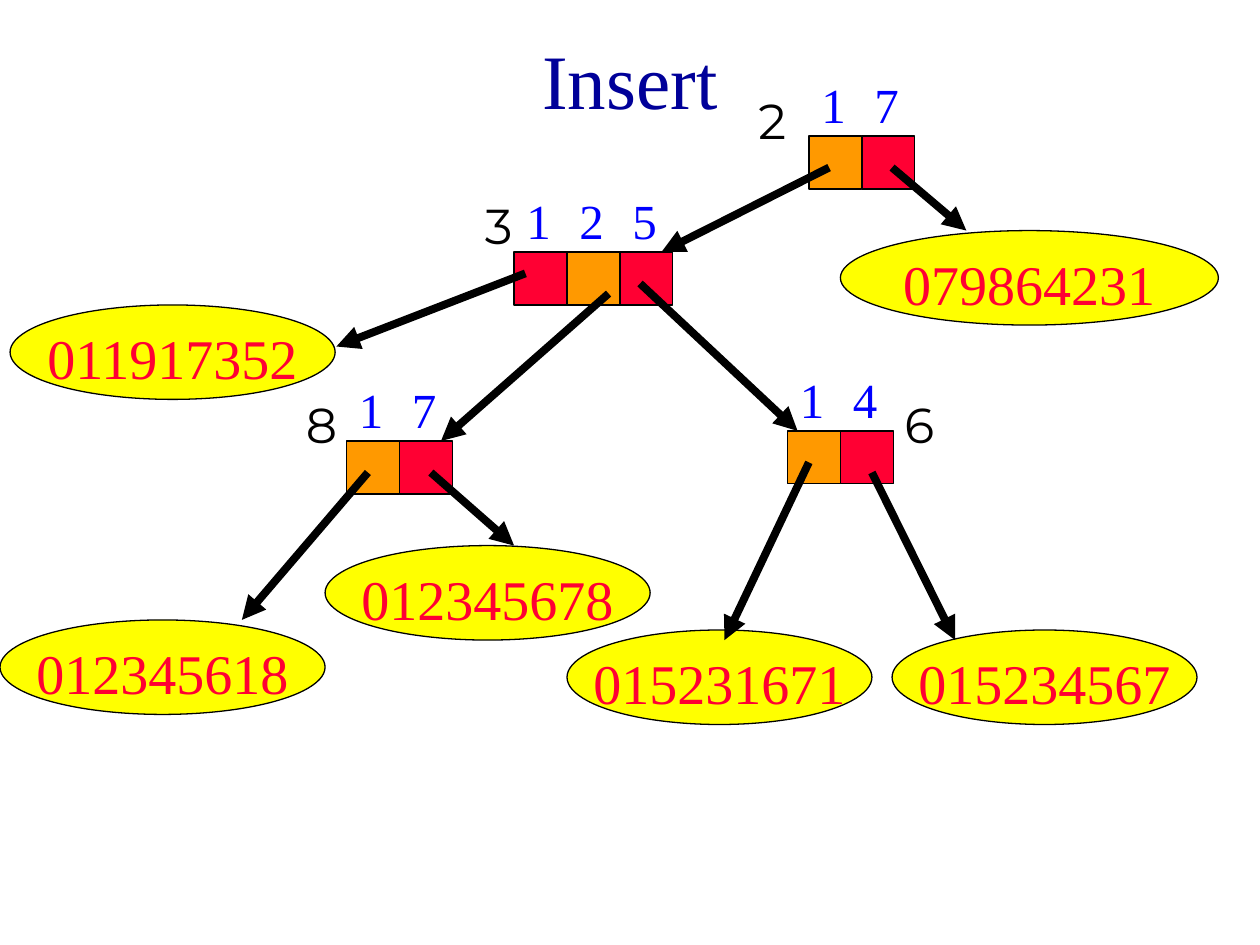
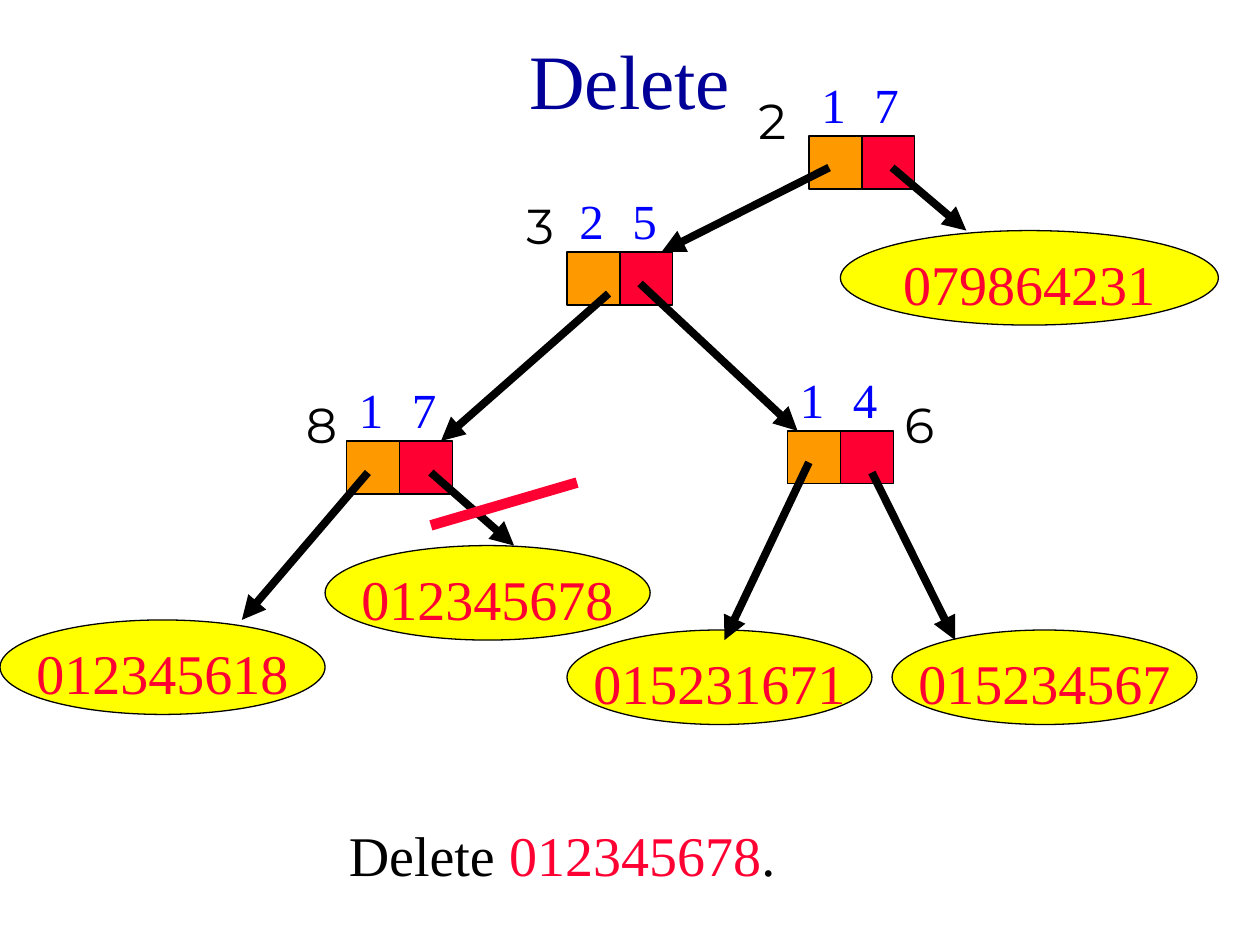
from pptx import Presentation
from pptx.dml.color import RGBColor
from pptx.enum.shapes import MSO_CONNECTOR, MSO_SHAPE
from pptx.enum.text import MSO_ANCHOR, PP_ALIGN
from pptx.oxml.ns import qn
from pptx.util import Inches, Pt
from lxml import etree

STRAIGHT = MSO_CONNECTOR.STRAIGHT
RECTANGLE, OVAL = MSO_SHAPE.RECTANGLE, MSO_SHAPE.OVAL
TOP, MIDDLE = MSO_ANCHOR.TOP, MSO_ANCHOR.MIDDLE
LEFT, CENTER = PP_ALIGN.LEFT, PP_ALIGN.CENTER

COLORS = {
    "title": "000099", "digit": "0000FF", "level": "010000", "black": "000000",
    "branch": "FF9900", "element": "FF0033", "leaf": "FFFF00",
}
SERIF, SANS = "Times New Roman", "Montserrat"
CELL = 0.42
DIGIT_RISE = 0.58
LEAF_HEIGHT = 0.75

SHARED_NODES = [
    {"level": "2", "level_at": (5.92, 0.67), "at": (6.42, 1.08),
     "cells": [("1", "branch"), ("7", "element")]},
    {"level": "8", "level_at": (2.33, 3.08), "at": (2.75, 3.5),
     "cells": [("1", "branch"), ("7", "element")]},
    {"level": "6", "level_at": (7.08, 3.08), "at": (6.25, 3.42),
     "cells": [("1", "branch"), ("4", "element")]},
]
SHARED_LEAVES = [
    ("079864231", 6.67, 1.83, 3),
    ("012345678", 2.58, 4.33, 2.58),
    ("012345618", 0, 4.92, 2.58),
    ("015231671", 4.5, 5, 2.42),
    ("015234567", 7.08, 5, 2.42),
]
SHARED_POINTERS = [
    ((6.58, 1.33), (5.25, 2)),
    ((7.08, 1.33), (7.67, 1.83)),
    ((4.83, 2.33), (3.5, 3.5)),
    ((5.08, 2.25), (6.33, 3.42)),
    ((2.92, 3.75), (1.92, 4.92)),
    ((3.42, 3.75), (4.08, 4.33)),
    ((6.42, 3.67), (5.75, 5.08)),
    ((6.92, 3.75), (7.58, 5.08)),
]
SLIDES = [
    {"title": "Insert",
     "nodes": [{"level": "3", "level_at": (3.75, 1.5), "at": (4.08, 2),
                "cells": [("1", "element"), ("2", "branch"), ("5", "element")]}],
     "leaves": [("011917352", 0.08, 2.42, 2.58)],
     "pointers": [((4.17, 2.17), (2.67, 2.75))]},
    {"title": "Delete",
     "nodes": [{"level": "3", "level_at": (4.08, 1.5), "at": (4.5, 2),
                "cells": [("2", "branch"), ("5", "element")]}],
     "leaves": [], "pointers": [],
     "cut": ((3.42, 4.17), (4.58, 3.83)),
     "caption": [("Delete ", "black"), ("012345678", "element"), (".", "black")]},
]


def color(key):
    return RGBColor.from_string(COLORS[key])


def write(shape, runs, size, font=SERIF, align=LEFT, anchor=TOP, wrap=True, inset=0.09):
    frame = shape.text_frame
    frame.word_wrap = wrap
    frame.vertical_anchor = anchor
    frame.margin_top = Inches(inset)
    paragraph = frame.paragraphs[0]
    paragraph.alignment = align
    paragraph.font.size = Pt(size)
    paragraph.font.name = font
    for text, key in runs:
        run = paragraph.add_run()
        run.text = text
        run.font.color.rgb = color(key)


def add_text(slide, box, runs, size, **style):
    write(slide.shapes.add_textbox(*map(Inches, box)), runs, size, **style)


def add_outlined(slide, kind, box, fill):
    shape = slide.shapes.add_shape(kind, *map(Inches, box))
    shape.shadow.inherit = False
    shape.fill.solid()
    shape.fill.fore_color.rgb = color(fill)
    shape.line.color.rgb = color("black")
    shape.line.width = Pt(0.75)
    return shape


def add_line(slide, start, end, key, width, arrow=False):
    line = slide.shapes.add_connector(STRAIGHT, *map(Inches, start + end))
    line.line.color.rgb = color(key)
    line.line.width = Pt(width)
    properties = line.element.spPr
    if arrow:
        etree.SubElement(properties.find(qn("a:ln")), qn("a:tailEnd"), type="triangle")
    etree.SubElement(properties, qn("a:effectLst"))


def add_node(slide, node):
    left, top = node["at"]
    for index, (digit, fill) in enumerate(node["cells"]):
        x = left + index * CELL
        add_outlined(slide, RECTANGLE, (x, top, CELL, CELL), fill)
        add_text(slide, (x, top - DIGIT_RISE, 0.35, 0.57), [(digit, "digit")], 28)
    add_text(slide, (*node["level_at"], 0.67, 0.57), [(node["level"], "level")], 28,
             font=SANS, inset=0.05)


def add_leaf(slide, key, left, top, width):
    leaf = add_outlined(slide, OVAL, (left, top, width, LEAF_HEIGHT), "leaf")
    write(leaf, [(key, "element")], 32, align=CENTER, anchor=MIDDLE, wrap=False, inset=0.13)


def build_slide(deck, content):
    slide = deck.slides.add_slide(deck.slide_layouts[6])
    add_text(slide, (0.75, 0.17, 8.5, 0.83), [(content["title"], "title")], 44,
             align=CENTER, anchor=MIDDLE, inset=0.13)
    for node in SHARED_NODES + content["nodes"]:
        add_node(slide, node)
    for leaf in SHARED_LEAVES + content["leaves"]:
        add_leaf(slide, *leaf)
    for start, end in SHARED_POINTERS + content["pointers"]:
        add_line(slide, start, end, "black", 4.5, arrow=True)
    if "caption" in content:
        add_text(slide, (2.67, 6.42, 3.67, 0.75), content["caption"], 32)
    if "cut" in content:
        add_line(slide, *content["cut"], "element", 6)


def main():
    deck = Presentation()
    deck.slide_width, deck.slide_height = Inches(10), Inches(7.5)
    for content in SLIDES:
        build_slide(deck, content)
    deck.save("out.pptx")


if __name__ == "__main__":
    main()
